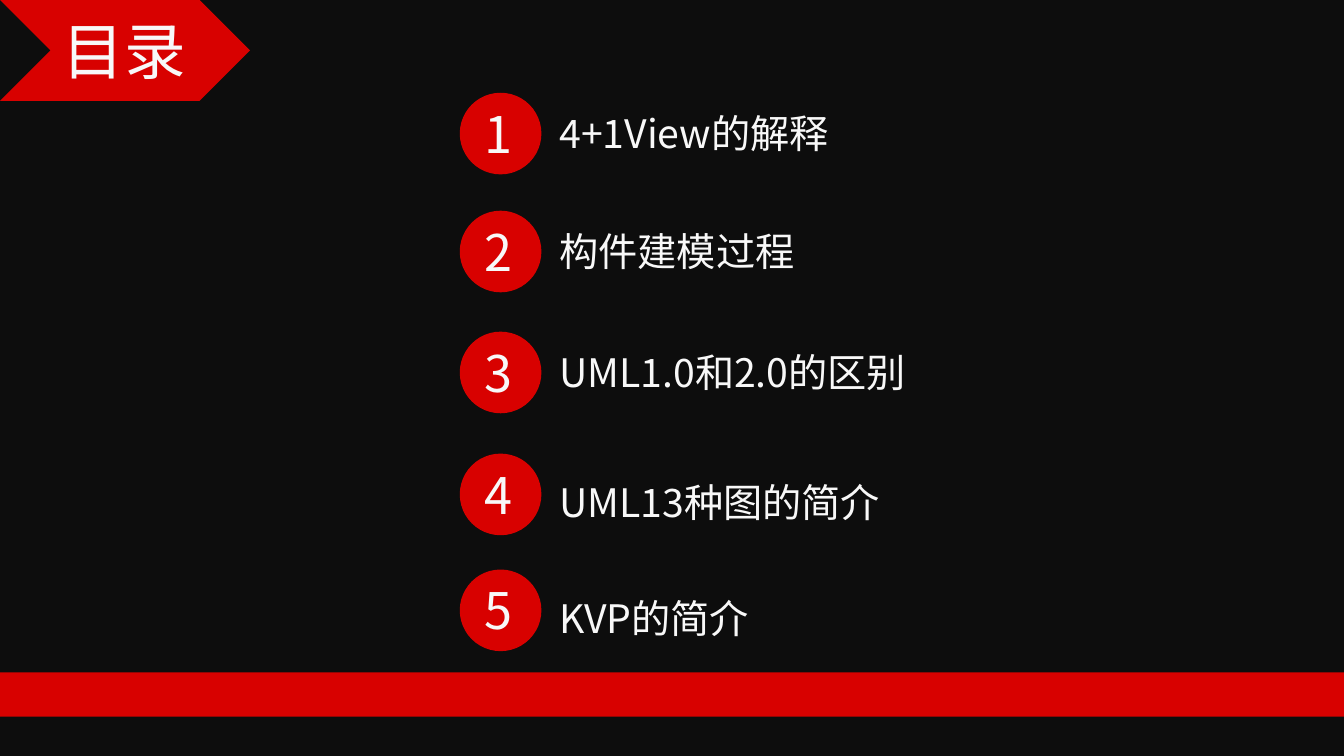
from collections import namedtuple
from dataclasses import dataclass

from lxml import etree
from pptx import Presentation
from pptx import util as u
from pptx.dml.color import RGBColor
from pptx.enum import shapes, text
from pptx.oxml.ns import qn

PX = u.Inches(1) // 100
Box = namedtuple("Box", "left top width height")
Entry = namedtuple("Entry", "top label_drop label")


@dataclass(frozen=True)
class Theme:
    paper: RGBColor = RGBColor(0xF8, 0xF8, 0xF8)
    night: RGBColor = RGBColor(0x0D, 0x0D, 0x0D)
    red: RGBColor = RGBColor(0xD8, 0x01, 0x00)
    font: str = "Noto Sans CJK SC"
    title_size: int = 44
    number_size: int = 36
    label_size: int = 28


THEME = Theme()
PAGE = Box(0, 0, 1333, 750)
ENTRIES = [
    Entry(92, 12, "4+1View的解释"),
    Entry(209, 12, "构件建模过程"),
    Entry(329, 12, "UML1.0和2.0的区别"),
    Entry(450, 20, "UML13种图的简介"),
    Entry(565, 20, "KVP的简介"),
]


def to_emu(box):
    return [length * PX for length in box]


def add_block(parent, kind, box, color):
    block = parent.shapes.add_shape(kind, *to_emu(box))
    block.shadow.inherit = False
    block.fill.solid()
    block.fill.fore_color.rgb = color
    block.line.fill.background()
    return block


def write(shape, wording, size):
    """Fill a text shape with one left-aligned line in the theme's font."""
    frame = shape.text_frame
    frame_format = {
        "word_wrap": True,
        "auto_size": text.MSO_AUTO_SIZE.NONE,
        "vertical_anchor": text.MSO_ANCHOR.TOP,
    }
    for name, value in frame_format.items():
        setattr(frame, name, value)
    para = frame.paragraphs[0]
    para.alignment = text.PP_ALIGN.LEFT
    span = para.add_run()
    span.text = wording
    for name, value in {"name": THEME.font, "size": u.Pt(size)}.items():
        setattr(span.font, name, value)
    span.font.color.rgb = THEME.paper
    east_asian = etree.SubElement(span.font._element, qn("a:ea"))
    east_asian.set("typeface", THEME.font)


def add_text(parent, box, wording, size):
    write(parent.shapes.add_textbox(*to_emu(box)), wording, size)


def add_backdrop(page, box):
    page.background.fill.solid()
    page.background.fill.fore_color.rgb = THEME.paper
    rectangle = shapes.MSO_SHAPE.RECTANGLE
    add_block(page, rectangle, box, THEME.night)
    band = Box(box.left, box.top + 667, box.width, 44)
    add_block(page, rectangle, band, THEME.red)


def add_heading(page, box, wording):
    chevron = add_block(page, shapes.MSO_SHAPE.CHEVRON, box, THEME.red)
    title = page.shapes.title
    place = to_emu(Box(box.left + 52, box.top + 8, 144, 84))
    for name, value in zip(Box._fields, place):
        setattr(title, name, value)
    write(title, wording, THEME.title_size)
    chevron.element.addnext(title.element)


def add_entry(page, box, number, entry):
    """Group a numbered disc with its label."""
    group = page.shapes.add_group_shape()
    disc = Box(box.left, box.top, box.height, box.height)
    add_block(group, shapes.MSO_SHAPE.OVAL, disc, THEME.red)
    number_box = Box(box.left + 15, box.top + 5, 52, 71)
    add_text(group, number_box, str(number), THEME.number_size)
    label_box = Box(box.left + 89, box.top + entry.label_drop, box.width - 89, 57)
    add_text(group, label_box, entry.label, THEME.label_size)


def add_contents_page(deck, box):
    page = deck.slides.add_slide(deck.slide_layouts.get_by_name("Title Only"))
    add_backdrop(page, box)
    add_heading(page, Box(box.left, box.top, 248, 100), "目录")
    for number, entry in enumerate(ENTRIES, 1):
        row = Box(box.left + 456, box.top + entry.top, 497, 81)
        add_entry(page, row, number, entry)


def main():
    deck = Presentation()
    deck.slide_width = PAGE.width * PX
    deck.slide_height = PAGE.height * PX
    add_contents_page(deck, PAGE)
    deck.save("out.pptx")


if __name__ == "__main__":
    main()
